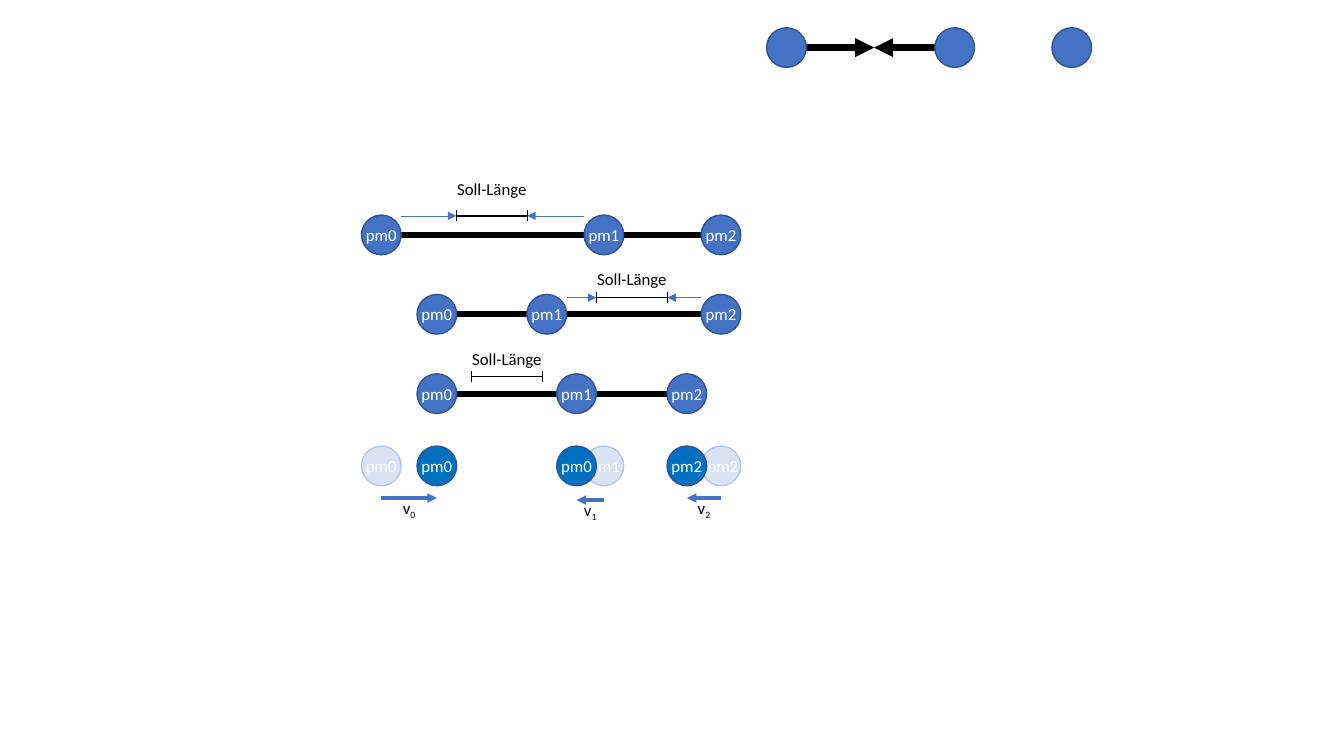
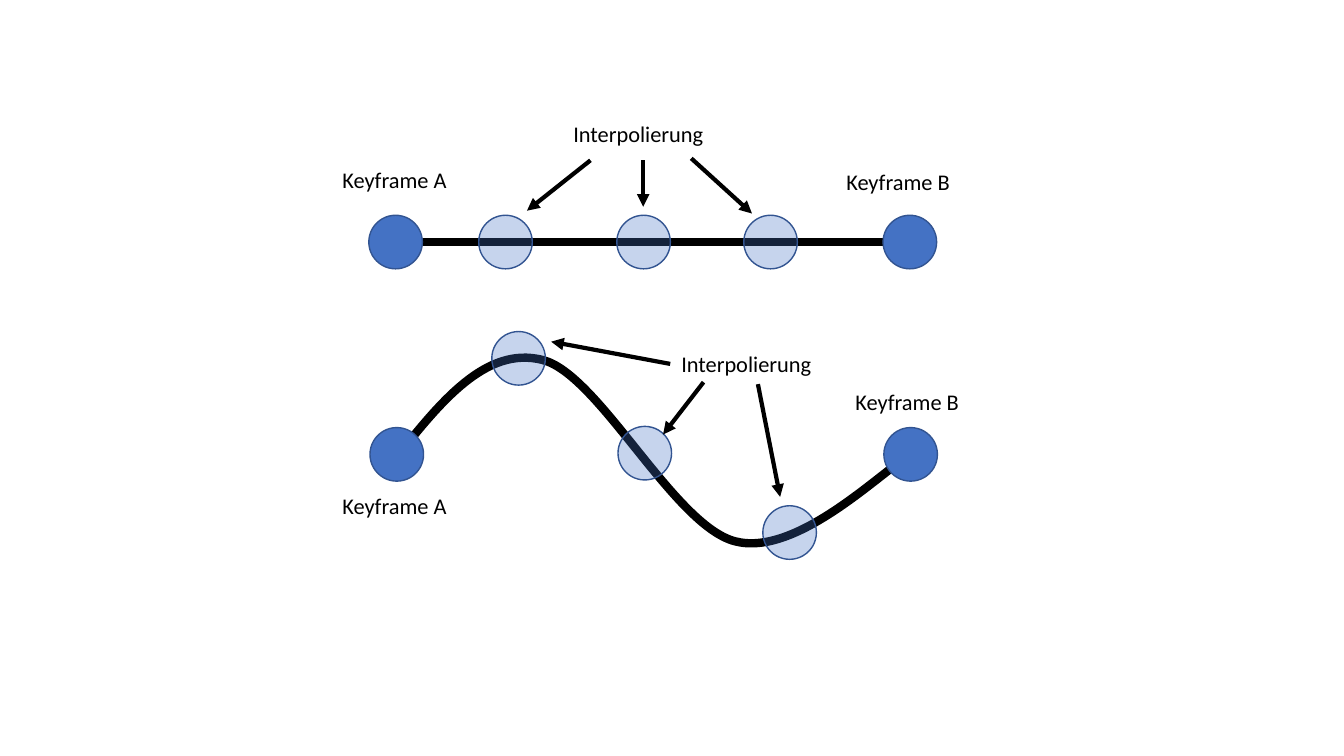
from itertools import pairwise

from pptx import Presentation
from pptx.dml.color import RGBColor
from pptx.enum.shapes import MSO_CONNECTOR, MSO_SHAPE
from pptx.enum.text import MSO_ANCHOR, PP_ALIGN
from pptx.oxml.ns import qn
from pptx.oxml.xmlchemy import OxmlElement
from pptx.util import Cm, Pt

BLACK = RGBColor(0x00, 0x00, 0x00)
WHITE = RGBColor(0xFF, 0xFF, 0xFF)
BLUE = RGBColor(0x44, 0x72, 0xC4)
BLUE_EDGE = RGBColor(0x32, 0x54, 0x91)
MOVED = RGBColor(0x00, 0x70, 0xC0)
MOVED_EDGE = RGBColor(0x2F, 0x55, 0x97)
GHOST = RGBColor(0xDA, 0xE3, 0xF3)
GHOST_EDGE = RGBColor(0xB4, 0xC7, 0xE7)

FONT = "Calibri"
SMALL, LARGE = 12, 16
MASS = 1.0
KEYFRAME = 1.35
SPAN = 1.79
MASS_NAMES = ("pm0", "pm1", "pm2")
START_XS = (9.61, 15.22, 18.17)
END_XS = (11.01, 14.53, 17.31)


def add_run(paragraph, text, size, color):
    run = paragraph.add_run()
    run.text = text
    run.font.name = FONT
    run.font.size = Pt(size)
    run.font.color.rgb = color
    return run


def add_text(slide, left, top, width, height, text, size, align=PP_ALIGN.LEFT):
    box = slide.shapes.add_textbox(Cm(left), Cm(top), Cm(width), Cm(height))
    box.text_frame.word_wrap = True
    paragraph = box.text_frame.paragraphs[0]
    paragraph.alignment = align
    add_run(paragraph, text, size, BLACK)
    return paragraph


def add_line(slide, start, end, width, color=BLACK, arrow=False):
    line = slide.shapes.add_connector(
        MSO_CONNECTOR.STRAIGHT, *(Cm(value) for value in (*start, *end)))
    line.line.color.rgb = color
    line.line.width = Pt(width)
    if arrow:
        head = OxmlElement("a:tailEnd")
        head.set("type", "triangle")
        line.line._get_or_add_ln().append(head)
    line._element.spPr.append(OxmlElement("a:effectLst"))


def add_circle(slide, x, y, diameter, fill=BLUE, edge=BLUE_EDGE, label="",
               inset=0, opacity=100):
    """Draw a circle around the centre (x, y); inset pushes the label right."""
    circle = slide.shapes.add_shape(
        MSO_SHAPE.OVAL, Cm(x - diameter / 2), Cm(y - diameter / 2),
        Cm(diameter), Cm(diameter))
    circle.shadow.inherit = False
    circle.fill.solid()
    circle.fill.fore_color.rgb = fill
    circle.line.color.rgb = edge
    circle.line.width = Pt(1)
    if opacity < 100:
        alpha = OxmlElement("a:alpha")
        alpha.set("val", str(opacity * 1000))
        color = circle._element.spPr.find(qn("a:solidFill")).find(qn("a:srgbClr"))
        color.append(alpha)
    if label:
        frame = circle.text_frame
        frame.word_wrap = False
        frame.vertical_anchor = MSO_ANCHOR.MIDDLE
        frame.margin_left = Cm(inset)
        frame.margin_right = frame.margin_top = frame.margin_bottom = 0
        paragraph = frame.paragraphs[0]
        paragraph.alignment = PP_ALIGN.CENTER
        add_run(paragraph, label, SMALL, WHITE)


def add_curve(slide, points, width):
    """Draw a cubic Bézier path: a start point, then three points a segment."""
    start, *rest = [(Cm(x), Cm(y)) for x, y in points]
    builder = slide.shapes.build_freeform(*start)
    builder.add_line_segments(rest, close=False)
    curve = builder.convert_to_shape()
    curve.shadow.inherit = False
    curve.fill.background()
    curve.line.color.rgb = BLACK
    curve.line.width = Pt(width)
    steps = list(curve._element.iter(qn("a:lnTo")))
    for index in range(0, len(steps), 3):
        bezier = OxmlElement("a:cubicBezTo")
        steps[index].addprevious(bezier)
        for step in steps[index:index + 3]:
            bezier.append(step[0])
            step.getparent().remove(step)


def add_target_length(slide, left, y, label_top):
    right = left + SPAN
    add_line(slide, (left, y), (right, y), 1)
    for x in (left, right):
        add_line(slide, (x, y - 0.14), (x, y + 0.14), 1)
    add_text(slide, left + SPAN / 2 - 1.5, label_top, 3, 0.77,
             "Soll-Länge", SMALL, PP_ALIGN.CENTER)


def add_pulls(slide, outer_left, outer_right, left, y):
    """Point arrows from two neighbouring masses to the target length."""
    for start, end in ((outer_left + MASS / 2, left),
                       (outer_right - MASS / 2, left + SPAN)):
        add_line(slide, (start, y), (end, y), 0.5, BLUE, arrow=True)


def add_chain(slide, xs, y):
    for left, right in pairwise(xs):
        add_line(slide, (left + MASS / 2, y), (right - MASS / 2, y), 4.5)
    for x, name in zip(xs, MASS_NAMES):
        add_circle(slide, x, y, MASS, label=name)


def add_velocities(slide, y):
    for x, label, inset in zip(START_XS, ("pm0", "m1", "pm2"), (0, 0.25, 0.1)):
        add_circle(slide, x, y, MASS, GHOST, GHOST_EDGE, label, inset)
    for x, label in zip(END_XS, ("pm0", "pm0", "pm2")):
        add_circle(slide, x, y, MASS, MOVED, MOVED_EDGE, label)
    arrow_ys = (12.55, 12.6, 12.55)
    for index, (start, end, arrow_y) in enumerate(zip(START_XS, END_XS, arrow_ys)):
        add_line(slide, (start, arrow_y), (end, arrow_y), 2.25, BLUE, arrow=True)
        paragraph = add_text(slide, (start + end) / 2 - 0.6, arrow_y - 0.13,
                             1.2, 0.77, "v", SMALL, PP_ALIGN.CENTER)
        subscript = add_run(paragraph, str(index), SMALL, BLACK)
        subscript.font._element.set("baseline", "-25000")


def build_spring_slide(slide):
    top_y, top_xs, meeting_x = 1.2, (19.82, 24.06, 27.01), 22.03
    for start in (top_xs[0] + MASS / 2, top_xs[1] - MASS / 2):
        add_line(slide, (start, top_y), (meeting_x, top_y), 4.5, arrow=True)
    for x in top_xs:
        add_circle(slide, x, top_y, MASS)

    middle_xs = (END_XS[0], 13.78, START_XS[2])
    for row, xs in enumerate((START_XS, middle_xs, END_XS)):
        add_chain(slide, xs, 5.92 + 2 * row)

    for left, y, label_top in ((11.5, 5.44, 4.39), (15.03, 7.5, 6.65),
                               (11.88, 9.49, 8.66)):
        add_target_length(slide, left, y, label_top)
    add_pulls(slide, START_XS[0], START_XS[1], 11.5, 5.44)
    add_pulls(slide, middle_xs[1], middle_xs[2], 15.03, 7.5)
    add_velocities(slide, 11.74)


def add_keyframes(slide, ends, between, labels, arrows):
    for x, y in ends:
        add_circle(slide, x, y, KEYFRAME)
    for x, y in between:
        add_circle(slide, x, y, KEYFRAME, opacity=30)
    for text, left, top in labels:
        add_text(slide, left, top, 4, 1.14, text, LARGE)
    for start, end in arrows:
        add_line(slide, start, end, 3, arrow=True)


def build_interpolation_slide(slide):
    straight_y = 6.1
    ends = ((9.97, straight_y), (22.93, straight_y))
    add_line(slide, *ends, 6)
    add_keyframes(
        slide, ends, [(x, straight_y) for x in (12.74, 16.22, 19.42)],
        (("Keyframe A", 8.38, 4.06), ("Keyframe B", 21.08, 4.11),
         ("Interpolierung", 14.2, 2.9)),
        (((14.88, 4.04), (13.28, 5.31)), ((16.21, 4.04), (16.21, 5.21)),
         ((17.42, 3.99), (18.95, 5.38))))

    add_curve(slide, (
        (9.96, 11.56),
        (11.1, 10.13), (12.24, 8.71), (13.67, 9.07),
        (15.09, 9.42), (16.97, 13.23), (18.52, 13.64),
        (20.07, 14.05), (22.2, 11.89), (22.94, 11.46)), 6)
    add_keyframes(
        slide, ((10, 11.45), (22.95, 11.45)),
        ((13.07, 9.03), (16.25, 11.42), (19.9, 13.42)),
        (("Keyframe A", 8.38, 12.27), ("Keyframe B", 21.31, 9.65),
         ("Interpolierung", 16.92, 8.71)),
        (((16.89, 9.17), (13.89, 8.61)), ((17.73, 9.63), (16.71, 10.95)),
         ((19.1, 9.68), (19.66, 12.52))))


def main():
    presentation = Presentation()
    presentation.slide_width = Cm(33.87)
    presentation.slide_height = Cm(19.05)
    blank = presentation.slide_layouts[6]
    for build in (build_spring_slide, build_interpolation_slide):
        build(presentation.slides.add_slide(blank))
    presentation.save("out.pptx")


if __name__ == "__main__":
    main()
